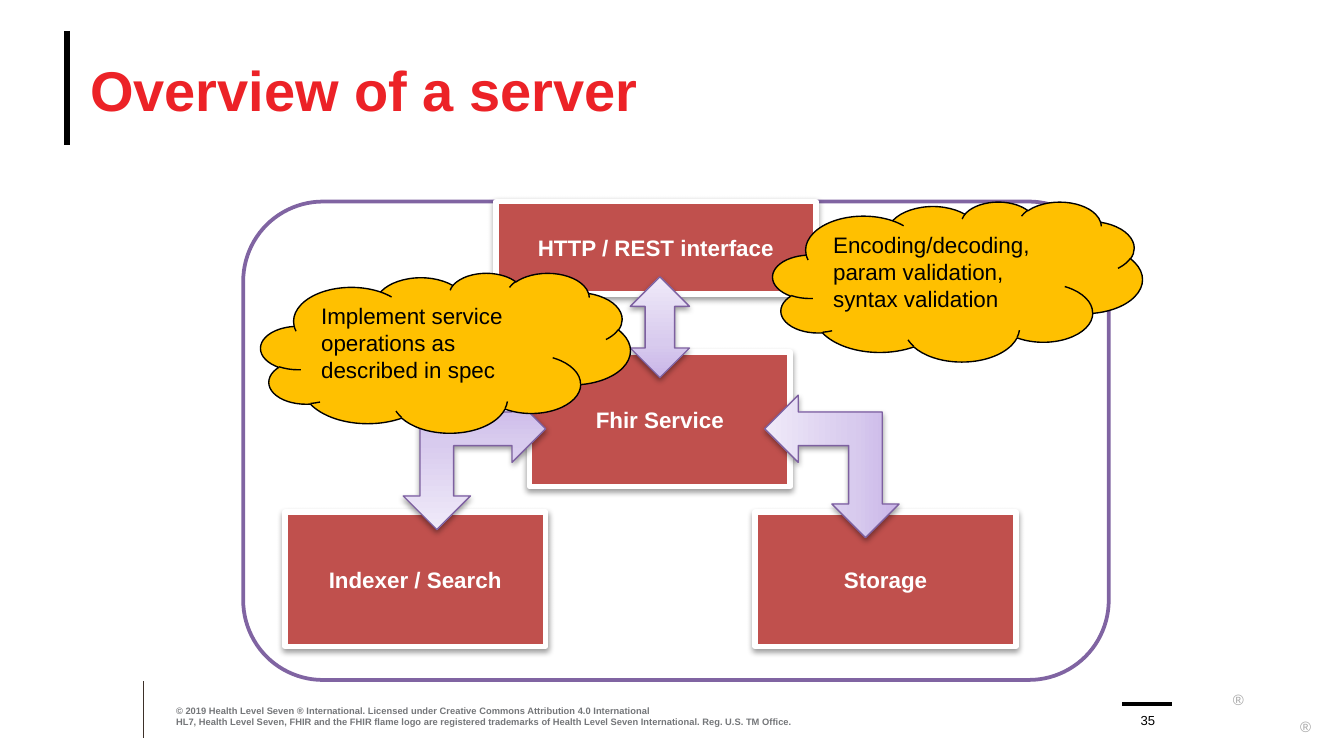
"""Build the slide that gives an overview of a server."""
from copy import deepcopy

from lxml import etree
from pptx import Presentation
from pptx.dml.color import RGBColor
from pptx.enum import shapes, text
from pptx.oxml.ns import qn
from pptx.util import Inches, Pt

COLORS = {
    "title": "EC2227", "black": "000000", "white": "FFFFFF", "rule": "3D3029",
    "legal": "747679", "mark": "A6A6A6", "frame": "8064A2", "box": "C0504D",
    "cloud": "FFC000", "arrow_edge": "7D60A0",
}
ARROW_STOPS = [(0, "C9B5E8"), (0.35, "D8CBEE"), (1, "F0EAF9")]

KIND = shapes.MSO_SHAPE
MIDDLE, BOTTOM, TOP = (text.MSO_ANCHOR.MIDDLE, text.MSO_ANCHOR.BOTTOM, text.MSO_ANCHOR.TOP)
LEFT, CENTER = text.PP_ALIGN.LEFT, text.PP_ALIGN.CENTER
SHAPE_INSETS = (0.07, 0.04, 0.07, 0.04)
FLUSH = (0, 0, 0, 0)
SLIDE_WIDTH = Inches(10)
SLIDE_HEIGHT = SLIDE_WIDTH * 9 // 16

RULES = [
    ((0.5, 0.23), (0.5, 1.08), "black", 3.25),
    ((1.07, 5.07), (1.07, 5.49), "rule", 0.5),
    ((8.35, 5.24), (8.72, 5.24), "black", 2),
]
TITLE = "Overview of a server"
LEGAL = [
    "© 2019 Health Level Seven ® International. Licensed under Creative Commons Attribution 4.0 International",
    "HL7, Health Level Seven, FHIR and the FHIR flame logo are registered trademarks of "
    "Health Level Seven International. Reg. U.S. TM Office.",
]
PAGE_NUMBER = "35"
MARKS = [(9.16, 5.1, 0.11, 0.09), (9.67, 5.3, 0.09, 0.09)]

FRAME = (1.81, 1.5, 6.44, 3.56)
COMPONENTS = [
    ("HTTP / REST interface", (3.69, 1.5, 2.38, 0.69)),
    ("Fhir Service", (3.94, 2.62, 1.94, 1)),
    ("Indexer / Search", (2.12, 3.81, 1.94, 1)),
    ("Storage", (5.62, 3.81, 1.94, 1)),
]
ARROWS = [
    (KIND.UP_DOWN_ARROW, (4.69, 2.06, 0.44, 0.75), 0),
    (KIND.LEFT_UP_ARROW, (3, 2.94, 1.06, 1), 180),
    (KIND.LEFT_UP_ARROW, (5.66, 2.97, 1.06, 1), 270),
]
CLOUDS = [
    ("Encoding/decoding, param validation, syntax validation", (5.75, 1.5)),
    ("Implement service operations as described in spec", (1.94, 2.03)),
]
CLOUD_SIZE = (2.75, 1.19)


def rgb(name):
    return RGBColor.from_string(COLORS[name])


def write(shape, lines, size, color, bold=False, align=LEFT, anchor=TOP, insets=FLUSH, wrap=True):
    frame = shape.text_frame
    left, top, right, bottom = map(Inches, insets)
    layout = {"margin_left": left, "margin_top": top, "margin_right": right,
              "margin_bottom": bottom, "word_wrap": wrap, "vertical_anchor": anchor}
    for name, value in layout.items():
        setattr(frame, name, value)
    frame.text = "\n".join(lines)
    for paragraph in frame.paragraphs:
        paragraph.alignment = align
        for run in paragraph.runs:
            for name, value in {"name": "Arial", "size": Pt(size), "bold": bold}.items():
                setattr(run.font, name, value)
            run.font.color.rgb = rgb(color)


def add_label(slide, place, lines, size, color, **layout):
    write(slide.shapes.add_textbox(*map(Inches, place)), lines, size, color, **layout)


def add_figure(slide, kind, place, edge, width, fill=None):
    figure = slide.shapes.add_shape(kind, *map(Inches, place))
    figure.shadow.inherit = False
    if fill:
        figure.fill.solid()
        figure.fill.fore_color.rgb = rgb(fill)
    figure.line.color.rgb = rgb(edge)
    figure.line.width = Pt(width)
    return figure


def drop_shadow(figure):
    effects = figure._element.spPr.find(qn("a:effectLst"))
    shadow = etree.SubElement(effects, qn("a:outerShdw"), blurRad=str(Pt(3.1)),
                              dist=str(Pt(1.6)), dir="5400000", rotWithShape="0")
    tint = etree.SubElement(shadow, qn("a:srgbClr"), val=COLORS["black"])
    etree.SubElement(tint, qn("a:alpha"), val="38000")


def shade(figure):
    figure.fill.gradient()
    figure.fill.gradient_angle = 90
    stop_list = figure._element.spPr.find(".//" + qn("a:gsLst"))
    stop_list.insert(1, deepcopy(stop_list[0]))
    for stop, (position, color) in zip(figure.fill.gradient_stops, ARROW_STOPS):
        stop.position = position
        stop.color.rgb = RGBColor.from_string(color)


def add_rule(slide, start, end, color, width):
    rule = slide.shapes.add_connector(shapes.MSO_CONNECTOR.STRAIGHT, *map(Inches, start + end))
    rule.line.color.rgb = rgb(color)
    rule.line.width = Pt(width)
    etree.SubElement(rule._element.spPr, qn("a:effectLst"))


def add_page_furniture(slide):
    for rule in RULES:
        add_rule(slide, *rule)
    for place in MARKS:
        add_label(slide, place, ["®"], 8, "mark", align=CENTER, insets=(0, 0.04, 0, 0), wrap=False)
    add_label(slide, (0.67, 0.23, 9, 0.86), [TITLE], 30, "title", bold=True, anchor=MIDDLE)
    add_label(slide, (1.31, 5.24, 4.95, 0.17), LEGAL, 5, "legal", bold=True, anchor=BOTTOM)
    add_label(slide, (8.39, 5.25, 0.3, 0.17), [PAGE_NUMBER], 7, "black", align=CENTER, anchor=BOTTOM)


def add_diagram(slide):
    add_figure(slide, KIND.ROUNDED_RECTANGLE, FRAME, "frame", 2, "white")
    for name, place in COMPONENTS:
        component = add_figure(slide, KIND.RECTANGLE, place, "white", 3, "box")
        drop_shadow(component)
        write(component, [name], 12, "white", bold=True, align=CENTER, anchor=MIDDLE, insets=SHAPE_INSETS)
    for kind, place, rotation in ARROWS:
        arrow = add_figure(slide, kind, place, "arrow_edge", 0.75)
        arrow.rotation = rotation
        shade(arrow)
        drop_shadow(arrow)
    for note, corner in CLOUDS:
        cloud = add_figure(slide, KIND.CLOUD, corner + CLOUD_SIZE, "black", 0.75, "cloud")
        write(cloud, [note], 12, "black", insets=SHAPE_INSETS)


def main():
    deck = Presentation()
    deck.slide_width, deck.slide_height = SLIDE_WIDTH, SLIDE_HEIGHT
    slide = deck.slides.add_slide(deck.slide_layouts[6])
    add_page_furniture(slide)
    add_diagram(slide)
    deck.save("out.pptx")


if __name__ == "__main__":
    main()
